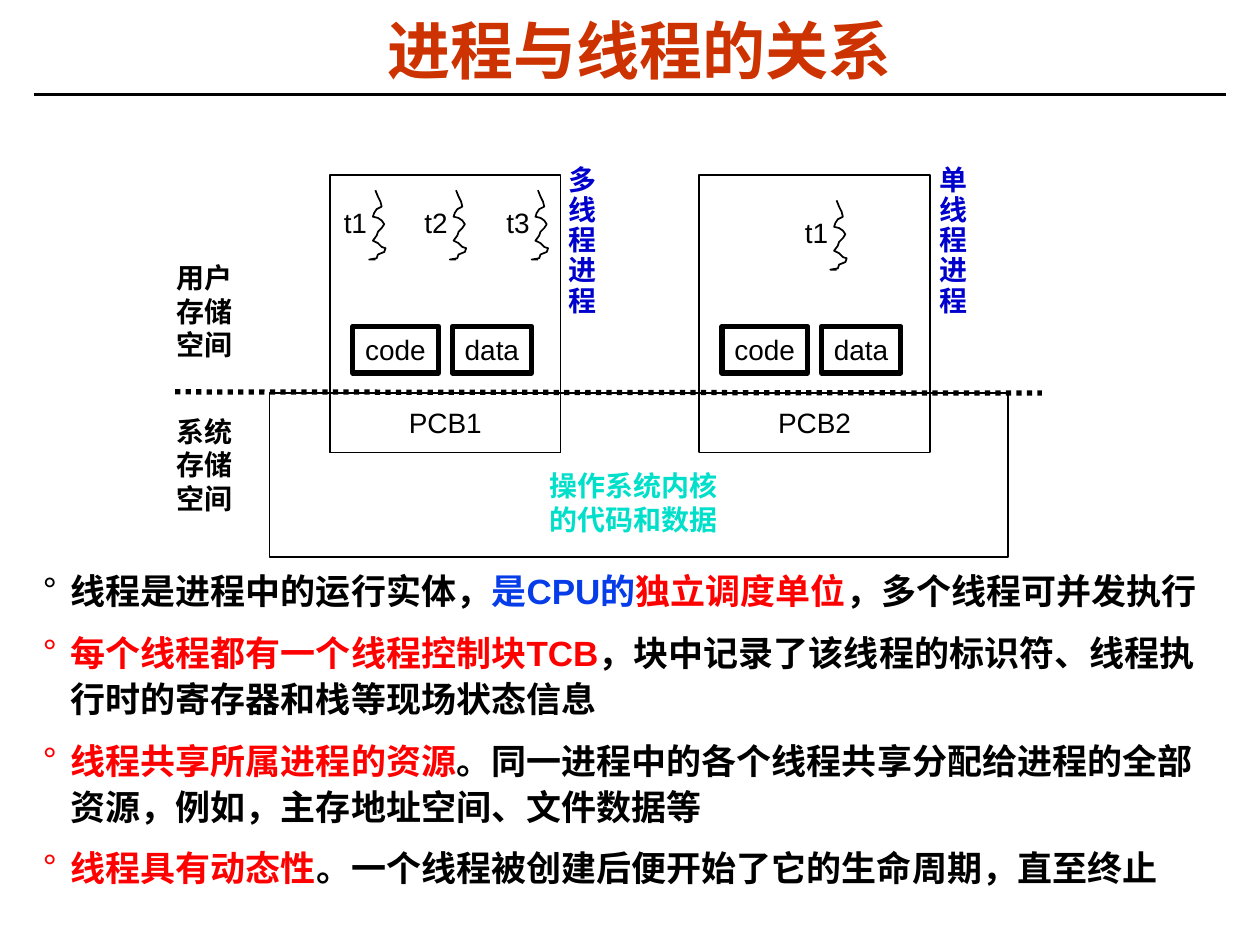
from lxml.etree import SubElement
from pptx import Presentation
from pptx.dml.color import RGBColor
from pptx.enum.dml import MSO_LINE
from pptx.enum.shapes import MSO_CONNECTOR, MSO_SHAPE
from pptx.enum.text import MSO_ANCHOR, MSO_AUTO_SIZE, PP_ALIGN
from pptx.oxml.ns import qn
from pptx.util import Inches, Pt

# Content
TITLE = "进程与线程的关系"
BLACK, RED, BLUE, NAVY, TEAL = "000000", "FF0000", "063DE8", "0000CC", "00DFCA"
BULLETS = [
    [("线程是进程中的运行实体，", BLACK), ("是CPU的", BLUE),
     ("独立调度单位", RED), ("，多个线程可并发执行", BLACK)],
    [("每个线程都有一个线程控制块TCB", RED),
     ("，块中记录了该线程的标识符、线程执行时的寄存器和栈等现场状态信息", BLACK)],
    [("线程共享所属进程的资源", RED),
     ("。同一进程中的各个线程共享分配给进程的全部资源，例如，主存地址空间、文件数据等", BLACK)],
    [("线程具有动态性", RED),
     ("。一个线程被创建后便开始了它的生命周期，直至终止", BLACK)],
]
# Each process: left edge, control block, threads (name, left, top of the wave)
PROCESSES = [
    (2.62, "PCB1", [("t1", 2.93, 1.51), ("t2", 3.57, 1.51), ("t3", 4.22, 1.51)]),
    (5.55, "PCB2", [("t1", 6.59, 1.59)]),
]
SEGMENTS = [("code", 0.18, 0.68), ("data", 0.97, 0.63)]  # name, offset, width
# Labels: text, box, colour, alignment, line spacing
LABELS = [
    ("用户存储空间", (1.3, 2.02, 0.77, 0.9), BLACK, PP_ALIGN.LEFT, 1),
    ("系统存储空间", (1.3, 3.24, 0.74, 0.9), BLACK, PP_ALIGN.LEFT, 1),
    ("操作系统内核的代码和数据", (4.18, 3.67, 1.7, 0.63), TEAL, PP_ALIGN.CENTER, 1),
    ("多线程进程", (4.41, 1.27, 0.51, 1.3), NAVY, PP_ALIGN.LEFT, 0.9),
    ("单线程进程", (7.36, 1.27, 0.51, 1.3), NAVY, PP_ALIGN.LEFT, 0.9),
]
# Thread wave in hundredths of an inch from its left top corner
WAVE = [(5, 0), (7, 5), (9, 9), (10, 13), (6, 15), (4, 18), (3, 21), (7, 22),
        (10, 24), (12, 27), (10, 30), (7, 33), (6, 36), (3, 40), (7, 42),
        (10, 45), (13, 46), (12, 49), (7, 51), (6, 54), (0, 55), (5, 55)]


def color(value):
    return RGBColor.from_string(value)


def style(font, size, value, bold=False):
    font.name, font.size, font.bold = "Arial", Pt(size), bold
    font.color.rgb = color(value)


def place(sp, box):
    sp.left, sp.top, sp.width, sp.height = map(Inches, box)


def set_margins(tf, x, y):
    tf.margin_left = tf.margin_right = Inches(x)
    tf.margin_top = tf.margin_bottom = Inches(y)


def write(sp, text, value=BLACK, bold=False, wrap=False,
          align=PP_ALIGN.LEFT, anchor=MSO_ANCHOR.TOP, spacing=1):
    tf = sp.text_frame
    tf.text = text
    tf.word_wrap, tf.vertical_anchor = wrap, anchor
    set_margins(tf, 0.1, 0.05)
    p = tf.paragraphs[0]
    p.alignment, p.line_spacing = align, spacing
    style(p.runs[0].font, 16, value, bold)


def add_box(box, width, fill="FFFFFF"):
    sp = s.shapes.add_shape(MSO_SHAPE.RECTANGLE, *map(Inches, box))
    sp.shadow.inherit = False
    if fill:
        sp.fill.solid()
        sp.fill.fore_color.rgb = color(fill)
    else:
        sp.fill.background()
    sp.line.color.rgb = color(BLACK)
    sp.line.width = Pt(width)
    return sp


def add_label(text, box, **options):
    write(s.shapes.add_textbox(*map(Inches, box)), text, **options)


def add_line(x1, y1, x2, y2, width):
    line = s.shapes.add_connector(MSO_CONNECTOR.STRAIGHT, *map(Inches, (x1, y1, x2, y2)))
    line.line.color.rgb = color(BLACK)
    line.line.width = Pt(width)
    SubElement(line._element.spPr, qn("a:effectLst"))
    return line


def add_thread(name, left, top):
    points = [(round(left * 100) + x, round(top * 100) + y) for x, y in WAVE]
    builder = s.shapes.build_freeform(*points[0], scale=Inches(0.01))
    builder.add_line_segments(points[1:], close=False)
    wave = builder.convert_to_shape()
    wave.shadow.inherit = False
    wave.fill.background()
    wave.line.color.rgb = color(BLACK)
    wave.line.width = Pt(1)
    add_label(name, (left - 0.3, top + 0.07, 0.39, 0.37))


def add_bullet(p, value):
    pPr = p._p.get_or_add_pPr()
    pPr.set("marL", str(Inches(0.22)))
    pPr.set("indent", str(Inches(-0.22)))
    SubElement(SubElement(pPr, qn("a:buClr")), qn("a:srgbClr"), val=value)
    SubElement(pPr, qn("a:buFont"), typeface="Arial")
    SubElement(pPr, qn("a:buChar"), char="°")


prs = Presentation()
prs.slide_width, prs.slide_height = Inches(10), Inches(7.5)
s = prs.slides.add_slide(prs.slide_layouts[1])

# Title and rule
title = s.shapes.title
place(title, (0.26, 0.14, 9.63, 0.58))
tf = title.text_frame
tf.text = TITLE
tf.auto_size, tf.vertical_anchor = MSO_AUTO_SIZE.NONE, MSO_ANCHOR.TOP
set_margins(tf, 0.07, 0.03)
p = tf.paragraphs[0]
p.alignment, p.line_spacing = PP_ALIGN.CENTER, 0.87
style(p.runs[0].font, 36, "CC3300", True)
add_line(0.27, 0.75, 9.73, 0.75, 1.5)

# Kernel, processes and their threads
add_box((2.14, 3.12, 5.86, 1.3), 1)
for left, pcb, threads in PROCESSES:
    add_box((left, 1.39, 1.83, 2.2), 1)
    for thread in threads:
        add_thread(*thread)
    for name, offset, width in SEGMENTS:
        write(add_box((left + offset, 2.59, width, 0.37), 3, None), name)
    write(add_box((left, 3.12, 1.83, 0.47), 0.75), pcb,
          align=PP_ALIGN.CENTER, anchor=MSO_ANCHOR.MIDDLE)

# Border between user and system space
add_line(1.39, 3.11, 8.27, 3.12, 3).line.dash_style = MSO_LINE.ROUND_DOT

for text, box, value, align, spacing in LABELS:
    add_label(text, box, value=value, bold=True, wrap=True, align=align, spacing=spacing)

# Bullet list
body = s.placeholders[1]
place(body, (0.27, 4.46, 9.53, 2.68))
tf = body.text_frame
tf.auto_size, tf.vertical_anchor = MSO_AUTO_SIZE.NONE, MSO_ANCHOR.TOP
set_margins(tf, 0.07, 0.03)
for i, runs in enumerate(BULLETS):
    p = tf.add_paragraph() if i else tf.paragraphs[0]
    add_bullet(p, runs[0][1])
    p.line_spacing, p.space_before = 1.1, Pt(8.8 if i else 0)
    for text, value in runs:
        r = p.add_run()
        r.text = text
        style(r.font, 20, value, True)

prs.save("out.pptx")
